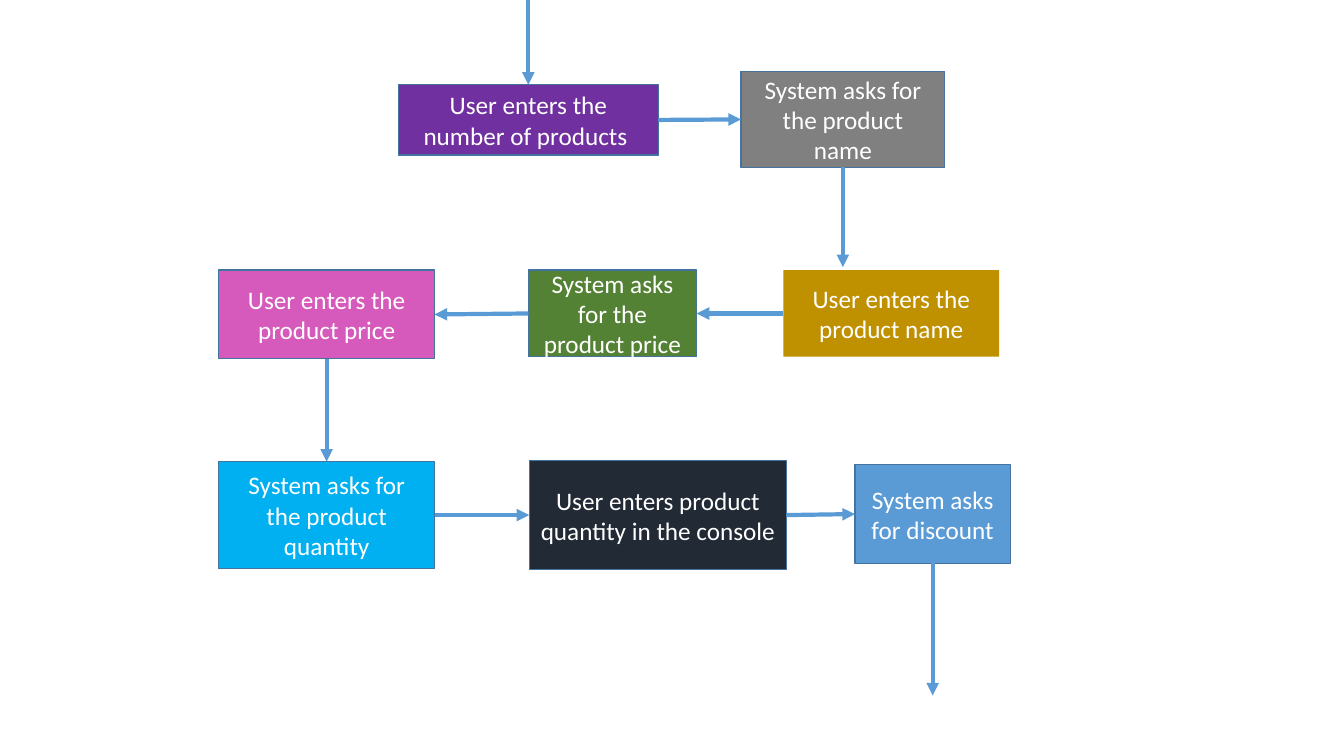
from lxml import etree
from pptx import Presentation
from pptx.dml.color import RGBColor
from pptx.enum.shapes import MSO_CONNECTOR, MSO_SHAPE
from pptx.enum.text import MSO_ANCHOR, PP_ALIGN
from pptx.oxml.ns import qn
from pptx.util import Inches, Pt

RECTANGLE = MSO_SHAPE.RECTANGLE
STRAIGHT = MSO_CONNECTOR.STRAIGHT
MIDDLE = MSO_ANCHOR.MIDDLE
CENTER = PP_ALIGN.CENTER

# Connection sites of a rectangle
TOP, LEFT, BOTTOM, RIGHT = range(4)

WHITE = RGBColor(0xFF, 0xFF, 0xFF)
BORDER = RGBColor(0x43, 0x73, 0x9E)
BLUE = RGBColor(0x5B, 0x9B, 0xD5)
PURPLE = RGBColor(0x70, 0x30, 0xA0)
GRAY = RGBColor(0x80, 0x80, 0x80)
GOLD = RGBColor(0xBF, 0x90, 0x00)
GREEN = RGBColor(0x54, 0x82, 0x35)
PINK = RGBColor(0xD6, 0x5A, 0xBB)
CYAN = RGBColor(0x00, 0xB0, 0xF0)
NAVY = RGBColor(0x22, 0x2A, 0x35)

# Step: text, (left, top, width, height), fill, border
STEPS = {
    "enter count": ("User enters the number of products ",
                    (3.95, 0.84, 2.58, 0.7), PURPLE, BORDER),
    "ask name": ("System asks for the product name",
                 (7.35, 0.71, 2.02, 0.95), GRAY, BORDER),
    "enter name": ("User enters the product name",
                   (7.77, 2.68, 2.14, 0.86), GOLD, None),
    "ask price": ("System asks for the product price",
                  (5.24, 2.68, 1.67, 0.86), GREEN, BORDER),
    "enter price": ("User enters the product price",
                    (2.17, 2.68, 2.14, 0.88), PINK, BORDER),
    "ask quantity": ("System asks for the product quantity",
                     (2.17, 4.58, 2.14, 1.06), CYAN, BORDER),
    "enter quantity": ("User enters product quantity in the console",
                       (5.25, 4.57, 2.55, 1.08), NAVY, BORDER),
    "ask discount": ("System asks for discount",
                     (8.48, 4.61, 1.54, 0.98), BLUE, BORDER),
}

# Each end is a (step, site) pair or a free (x, y) point
FLOWS = [
    ((5.24, 0), ("enter count", TOP)),
    (("enter count", RIGHT), ("ask name", LEFT)),
    (("ask name", BOTTOM), (8.36, 2.65)),
    (("enter name", LEFT), ("ask price", RIGHT)),
    (("ask price", LEFT), ("enter price", RIGHT)),
    (("enter price", BOTTOM), ("ask quantity", TOP)),
    (("ask quantity", RIGHT), ("enter quantity", LEFT)),
    (("enter quantity", RIGHT), ("ask discount", LEFT)),
    (("ask discount", BOTTOM), (9.25, 6.9)),
]


def write_text(frame, text, size=18, color=WHITE, font="Calibri", align=CENTER):
    """Fill a text frame with one wrapped, vertically centred paragraph."""
    frame.word_wrap = True
    frame.vertical_anchor = MIDDLE
    paragraph = frame.paragraphs[0]
    paragraph.alignment = align
    run = paragraph.add_run()
    run.text = text
    run.font.size = Pt(size)
    run.font.name = font
    run.font.color.rgb = color


def add_step(slide, text, box, fill, border):
    """Add one process box and return it."""
    step = slide.shapes.add_shape(RECTANGLE, *map(Inches, box))
    step.shadow.inherit = False
    step.fill.solid()
    step.fill.fore_color.rgb = fill
    if border is None:
        step.line.fill.background()
    else:
        step.line.color.rgb = border
        step.line.width = Pt(1)
    write_text(step.text_frame, text)
    return step


def add_flow(slide, steps, start, end):
    """Add an arrow, attached to a step wherever an end names one."""
    start_point, end_point = [
        (0, 0) if place[0] in steps else place for place in (start, end)]
    arrow = slide.shapes.add_connector(
        STRAIGHT, *map(Inches, (*start_point, *end_point)))
    if start[0] in steps:
        arrow.begin_connect(steps[start[0]], start[1])
    if end[0] in steps:
        arrow.end_connect(steps[end[0]], end[1])
    arrow.line.color.rgb = BLUE
    arrow.line.width = Pt(3)
    etree.SubElement(arrow.line._get_or_add_ln(), qn("a:tailEnd"), type="triangle")
    etree.SubElement(arrow._element.spPr, qn("a:effectLst"))


def main():
    """Build the product entry flowchart."""
    deck = Presentation()
    deck.slide_width = Inches(13.33)
    deck.slide_height = Inches(7.5)
    slide = deck.slides.add_slide(deck.slide_layouts[6])
    steps = {key: add_step(slide, *step) for key, step in STEPS.items()}
    for start, end in FLOWS:
        add_flow(slide, steps, start, end)
    deck.save("out.pptx")


main()
